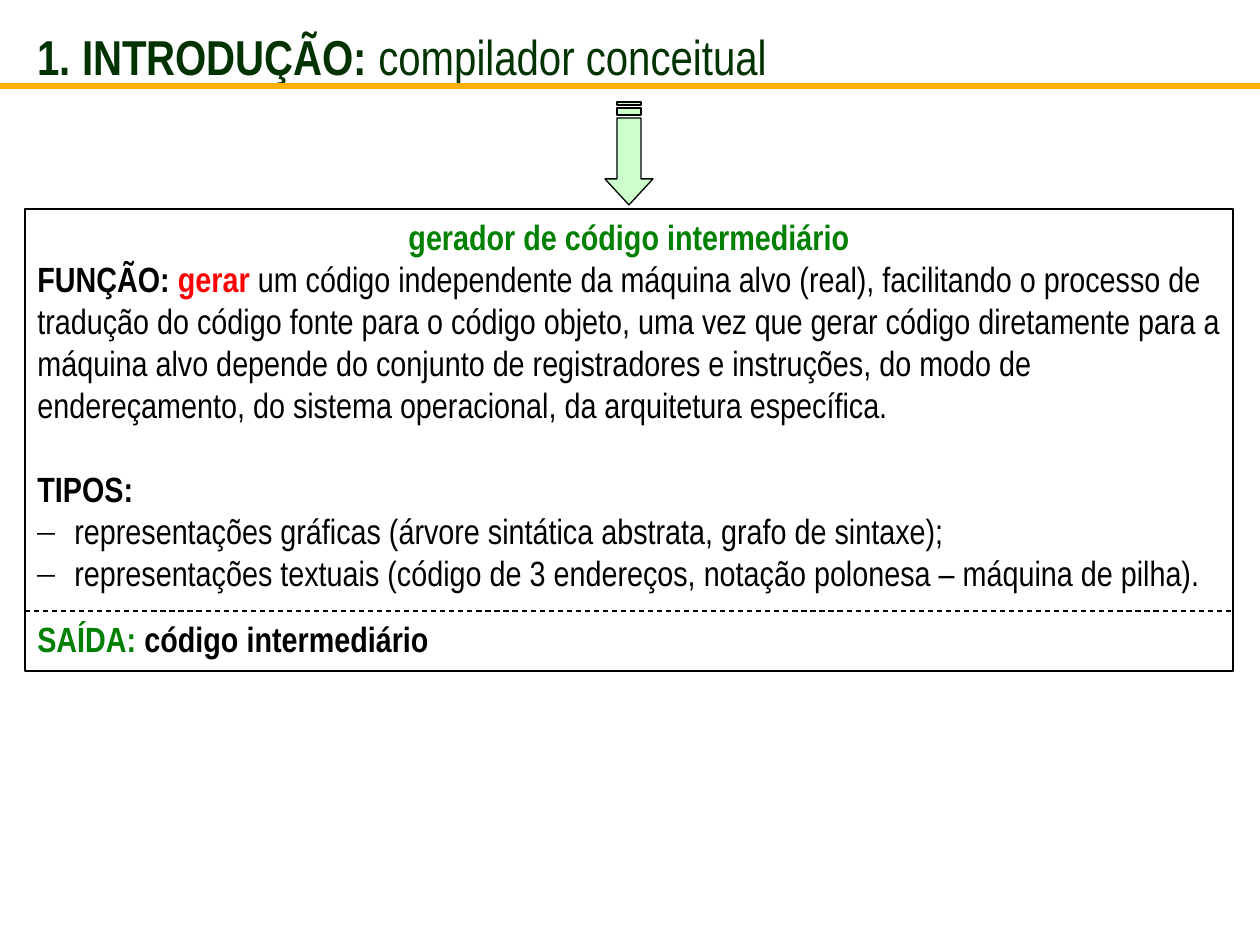
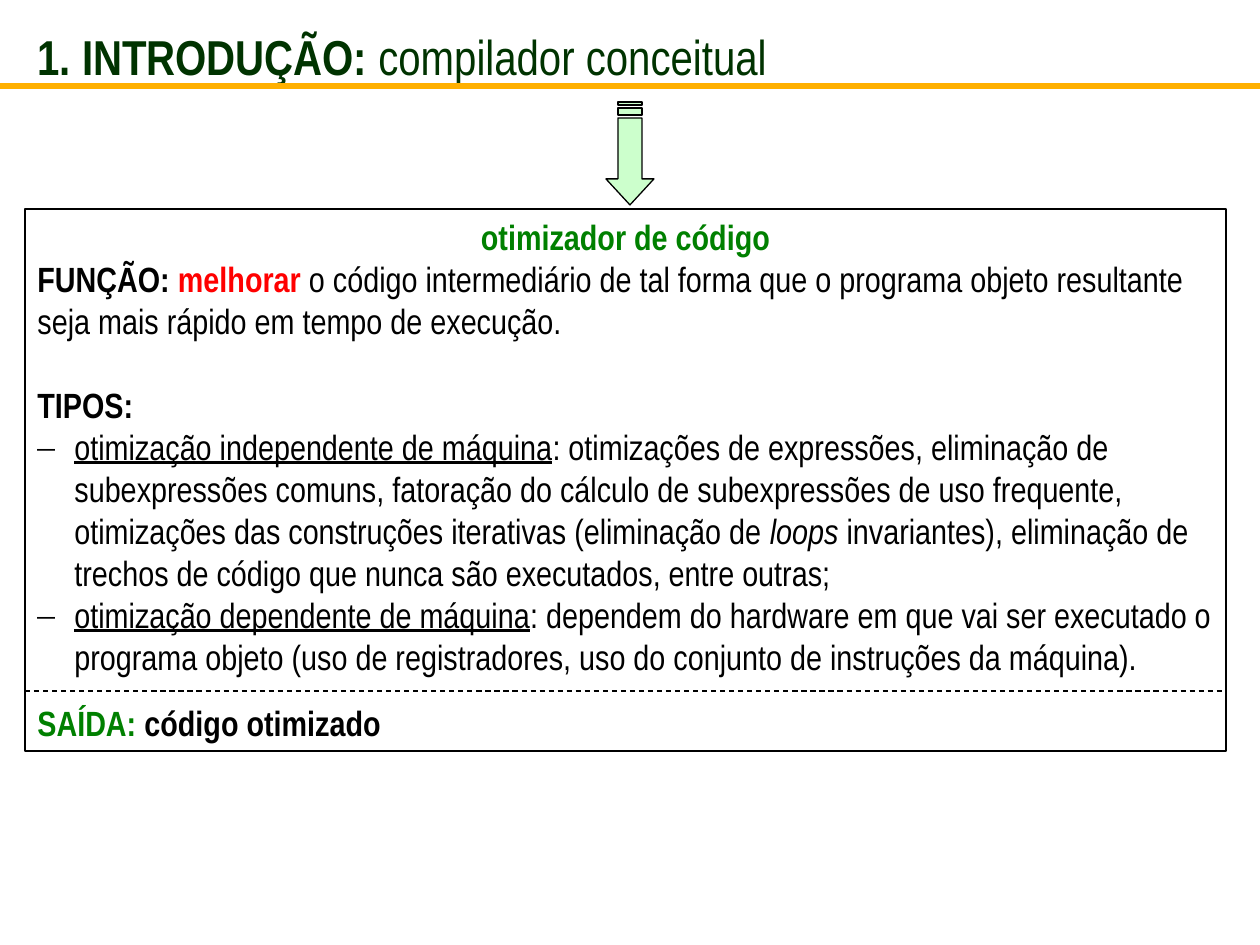
"""Builds two slides on the stages of a conceptual compiler."""
from dataclasses import dataclass

from lxml import etree
from pptx import Presentation
from pptx.dml.color import RGBColor
from pptx.enum.dml import MSO_LINE
from pptx.enum.shapes import MSO_CONNECTOR, MSO_SHAPE
from pptx.enum.text import MSO_ANCHOR, PP_ALIGN
from pptx.oxml.ns import qn
from pptx.util import Pt

STRAIGHT = MSO_CONNECTOR.STRAIGHT
RECT = MSO_SHAPE.RECTANGLE
DASH = MSO_LINE.DASH
TOP, MIDDLE = MSO_ANCHOR.TOP, MSO_ANCHOR.MIDDLE
LEFT, CENTER = PP_ALIGN.LEFT, PP_ALIGN.CENTER


@dataclass(frozen=True)
class Theme:
    """Colours, font and type sizes of the deck."""
    font: str = "Arial Narrow"
    mark: str = "Times New Roman"
    ink: str = "000000"
    paper: str = "FFFFFF"
    title: str = "003300"
    key: str = "008000"
    verb: str = "FF0000"
    arrow: str = "CCFFCC"
    rule: str = "FFB000"
    head: int = 28
    body: int = 20
    gap: int = 24
    small: int = 14
    thin: float = 0.75
    thick: int = 3


T = Theme()

STYLES = {
    "plain": (T.ink, ""),
    "bold": (T.ink, "b"),
    "under": (T.ink, "u"),
    "slant": (T.ink, "i"),
    "key": (T.key, "b"),
    "verb": (T.verb, "b"),
    "title": (T.title, "b"),
    "topic": (T.title, ""),
}

TITLE = [("1. INTRODUÇÃO: ", "title"), ("compilador conceitual", "topic")]

SLIDES = [
    {
        "name": "gerador de código intermediário",
        "role": [
            ("gerar ", "verb"),
            ("um código independente da máquina alvo (real), facilitando o "
             "processo de tradução do código fonte para o código objeto, uma "
             "vez que gerar código diretamente para a máquina alvo depende do "
             "conjunto de registradores e instruções, do modo de "
             "endereçamento, do sistema operacional, da arquitetura "
             "específica.", "plain"),
        ],
        "types": [
            [("representações gráficas (árvore sintática abstrata, grafo de "
              "sintaxe);", "plain")],
            [("representações textuais (código de 3 endereços, notação "
              "polonesa – máquina de pilha).", "plain")],
        ],
        "result": "código intermediário",
        "wide": 1208, "high": 462, "split": 611, "mid": 629,
    },
    {
        "name": "otimizador de código",
        "role": [
            ("melhorar", "verb"),
            (" o código intermediário de tal forma que o programa objeto "
             "resultante seja mais rápido em tempo de execução.", "plain"),
        ],
        "types": [
            [("otimização independente de máquina", "under"),
             (": otimizações de expressões, eliminação de subexpressões "
              "comuns, fatoração do cálculo de subexpressões de uso "
              "frequente, otimizações das construções iterativas (eliminação "
              "de ", "plain"),
             ("loops", "slant"),
             (" invariantes), eliminação de trechos de código que nunca são "
              "executados, entre outras;", "plain")],
            [("otimização dependente de máquina", "under"),
             (": dependem do hardware em que vai ser executado o programa "
              "objeto (uso de registradores, uso do conjunto de instruções "
              "da máquina).", "plain")],
        ],
        "result": "código otimizado",
        "wide": 1201, "high": 542, "split": 691, "mid": 630,
    },
]

WIDE, HIGH = 1260, 945
EDGE, BOX_TOP, INDENT = 25, 209, 37
RULE_Y = 86
HEAD_BOX = (EDGE, 14, 1208, 84)
SHAFT, BARB = 12, 24
NECK, TAIL, TIP = 179, 118, 205
BARS = [(108, 115), (102, 105)]


def px(n):
    """Turn px into EMU."""
    return round(n * 914400 / 126)


def rgb(code):
    """Turn a hex code into a colour."""
    return RGBColor.from_string(code)


def paint(shape, fill):
    """Give a shape its fill and a thin dark line without shadow."""
    shape.shadow.inherit = False
    shape.fill.solid()
    shape.fill.fore_color.rgb = rgb(fill)
    shape.line.color.rgb = rgb(T.ink)
    shape.line.width = Pt(T.thin)


def add_rule(slide, left, right, y, color, width, dash=None):
    """Draw a level line."""
    line = slide.shapes.add_connector(
        STRAIGHT, px(left), px(y), px(right), px(y))
    line.line.color.rgb = rgb(color)
    line.line.width = Pt(width)
    if dash:
        line.line.dash_style = dash
    etree.SubElement(line._element.spPr, qn("a:effectLst"))


def add_mark(para):
    """Give a paragraph a dash and a hanging indent."""
    props = para._p.get_or_add_pPr()
    props.set("marL", str(px(INDENT)))
    props.set("indent", str(-px(INDENT)))
    etree.SubElement(props, qn("a:buFont"), typeface=T.mark)
    etree.SubElement(props, qn("a:buChar"), char="–")


def add_runs(para, runs, size):
    """Write styled runs into a paragraph."""
    for text, style in runs:
        color, marks = STYLES[style]
        run = para.add_run()
        run.text = text
        font = run.font
        font.name, font.size = T.font, Pt(size)
        font.color.rgb = rgb(color)
        font.bold = "b" in marks
        font.italic = "i" in marks
        font.underline = "u" in marks


def add_arrow(slide, mid):
    """Draw the striped arrow that points down to the box."""
    head = [(mid + SHAFT, NECK), (mid + SHAFT, TAIL), (mid - SHAFT, TAIL),
            (mid - SHAFT, NECK), (mid - BARB, NECK), (mid, TIP)]
    pen = slide.shapes.build_freeform(mid + BARB, NECK, scale=px(1000) / 1000)
    pen.add_line_segments(head, close=True)
    for top, low in BARS:
        pen.move_to(mid + SHAFT, top)
        pen.add_line_segments([(mid - SHAFT, top), (mid - SHAFT, low),
                               (mid + SHAFT, low)], close=True)
    paint(pen.convert_to_shape(), T.arrow)


def add_box(slide, data):
    """Draw the framed text of one stage."""
    box = slide.shapes.add_shape(
        RECT, px(EDGE), px(BOX_TOP), px(data["wide"]), px(data["high"]))
    paint(box, T.paper)
    frame = box.text_frame
    frame.word_wrap = True
    frame.vertical_anchor = TOP
    rows = [
        ([(data["name"], "key")], CENTER, 0, False),
        ([("FUNÇÃO: ", "bold"), *data["role"]], LEFT, 0, False),
        ([("TIPOS:", "bold")], LEFT, T.gap, False),
        *[(kind, LEFT, 0, True) for kind in data["types"]],
        ([("SAÍDA: ", "key"), (data["result"], "bold")],
         LEFT, T.small, False),
    ]
    for i, (runs, align, gap, mark) in enumerate(rows):
        para = frame.add_paragraph() if i else frame.paragraphs[0]
        if mark:
            add_mark(para)
        para.alignment = align
        if gap:
            para.space_before = Pt(gap)
        add_runs(para, runs, T.body)
    add_rule(slide, EDGE, EDGE + data["wide"], data["split"],
             T.ink, T.thin, DASH)


def add_head(slide):
    """Write the title over its rule."""
    frame = slide.shapes.add_textbox(*map(px, HEAD_BOX)).text_frame
    frame.word_wrap = True
    frame.vertical_anchor = MIDDLE
    add_runs(frame.paragraphs[0], TITLE, T.head)
    add_rule(slide, 0, WIDE, RULE_Y, T.rule, T.thick)


def main():
    """Build and save the deck."""
    deck = Presentation()
    deck.slide_width, deck.slide_height = px(WIDE), px(HIGH)
    for data in SLIDES:
        slide = deck.slides.add_slide(deck.slide_layouts[6])
        add_arrow(slide, data["mid"])
        add_box(slide, data)
        add_head(slide)
    deck.save("out.pptx")


if __name__ == "__main__":
    main()
